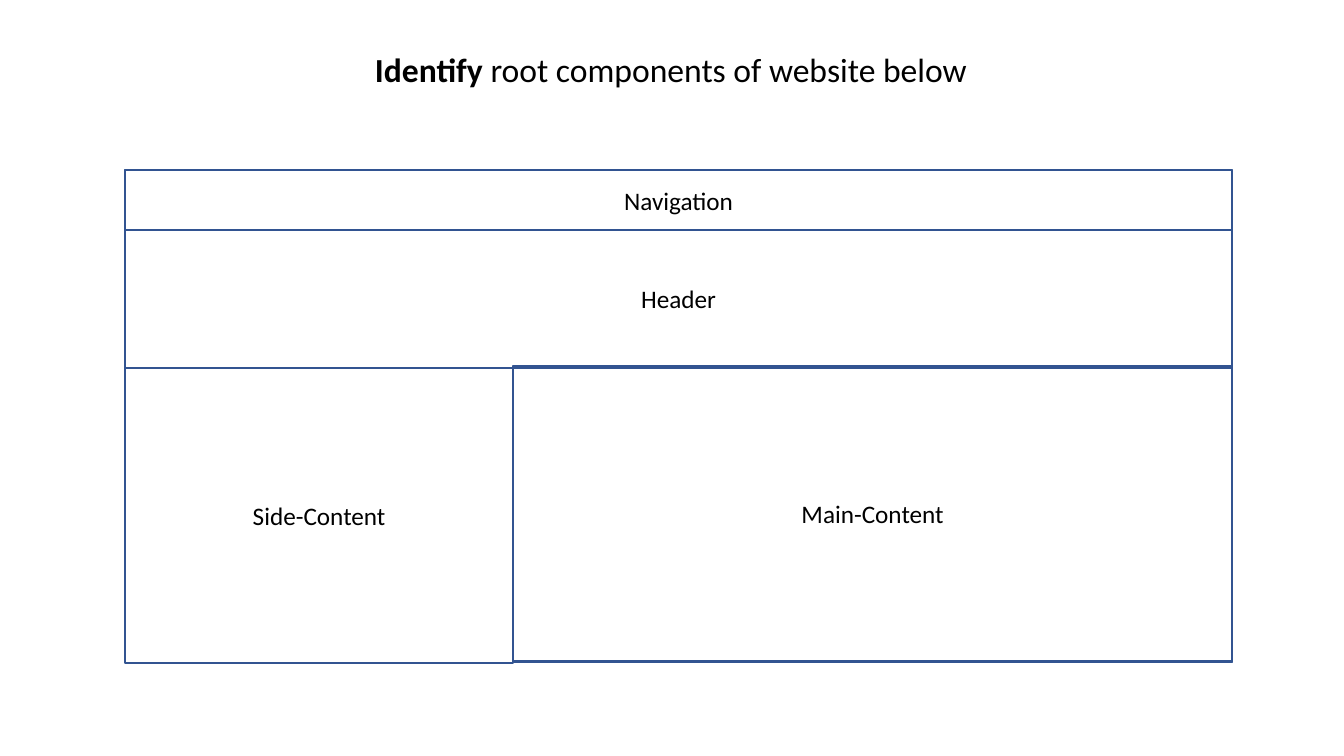
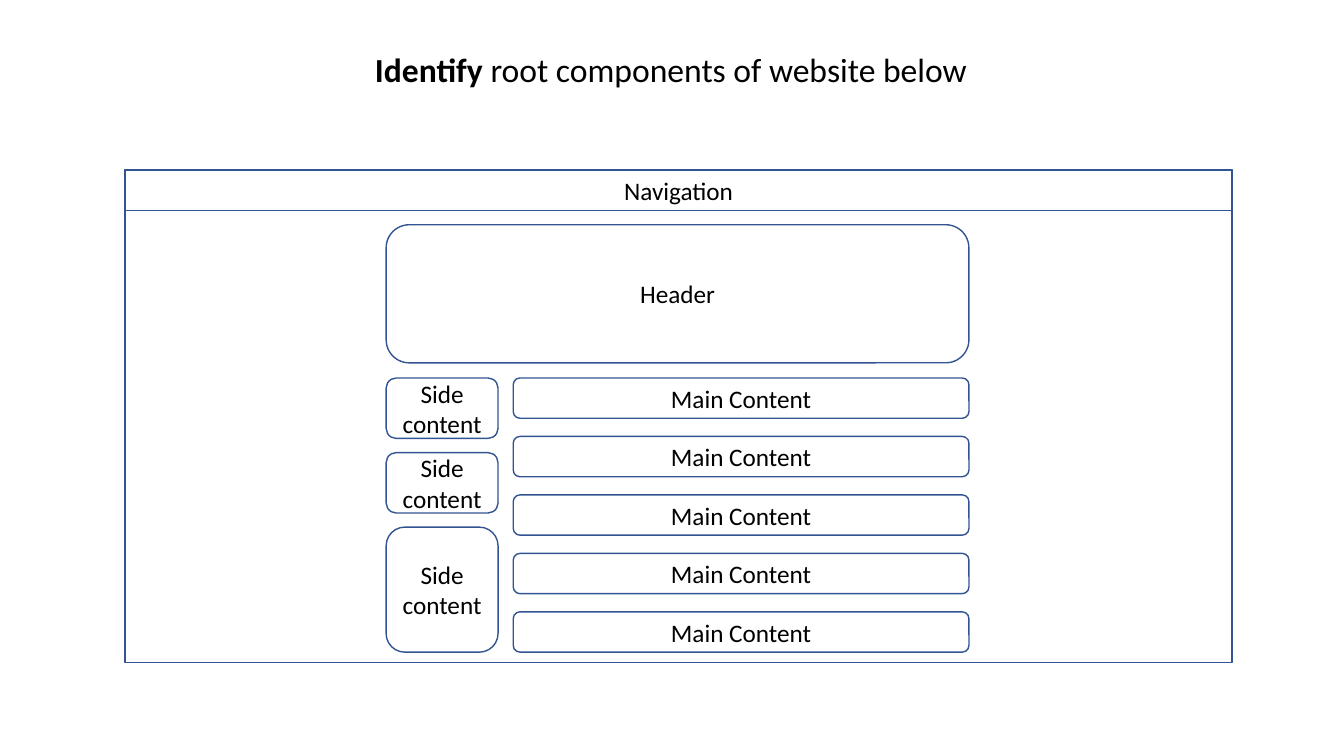
import dataclasses

import pptx
import pptx.dml.color
import pptx.enum.shapes
import pptx.enum.text
import pptx.util

Inches = pptx.util.Inches
Shape = pptx.enum.shapes.MSO_SHAPE
Align = pptx.enum.text.PP_ALIGN


@dataclasses.dataclass(frozen=True)
class Theme:
    """Hold the colours and type sizes of the deck."""

    font: str = "Calibri"
    ink: str = "000000"
    edge: str = "325491"
    head: int = 24
    label: int = 18
    rule: int = 1


@dataclasses.dataclass(frozen=True)
class Box:
    """Hold a place on the slide in inches."""

    left: float
    top: float
    width: float
    height: float

    def inner(self, left, top, width, height):
        """Return a box placed relative to this one."""
        return Box(self.left + left, self.top + top, width, height)

    def sides(self):
        """Return the four lengths for python-pptx."""
        return [Inches(n) for n in (self.left, self.top, self.width, self.height)]


THEME = Theme()
TITLE = Box(3.62, 0.44, 6.09, 0.5)
PAGE = Box(1.24, 1.68, 10.98, 4.89)


def tint(code):
    """Turn a hex code into a colour."""
    return pptx.dml.color.RGBColor.from_string(code)


def style(para, size):
    """Set the shared font on a paragraph."""
    para.font.name = THEME.font
    para.font.size = pptx.util.Pt(size)
    para.font.color.rgb = tint(THEME.ink)


def panel(slide, box, text="", kind=Shape.RECTANGLE):
    """Draw an outlined panel with a centred label."""
    shape = slide.shapes.add_shape(kind, *box.sides())
    shape.shadow.inherit = False
    shape.fill.background()
    shape.line.color.rgb = tint(THEME.edge)
    shape.line.width = pptx.util.Pt(THEME.rule)
    if text:
        frame = shape.text_frame
        frame.word_wrap = True
        frame.vertical_anchor = pptx.enum.text.MSO_ANCHOR.MIDDLE
        para = frame.paragraphs[0]
        para.text = text
        para.alignment = Align.CENTER
        style(para, THEME.label)


def title(slide, box):
    """Write the heading with its first word in bold."""
    frame = slide.shapes.add_textbox(*box.sides()).text_frame
    frame.word_wrap = False
    frame.auto_size = pptx.enum.text.MSO_AUTO_SIZE.SHAPE_TO_FIT_TEXT
    para = frame.paragraphs[0]
    style(para, THEME.head)
    for text, bold in (("Identify", True), (" root components of website below", False)):
        run = para.add_run()
        run.text = text
        run.font.bold = bold


def site(slide, box, height):
    """Draw the site outline and its navigation bar."""
    panel(slide, box.inner(0, 0.01, box.width, height), "Navigation")
    panel(slide, box)


def stack(slide, box, text, sizes, gap):
    """Stack rounded panels down a column with equal gaps."""
    top = 0
    for size in sizes:
        panel(slide, box.inner(0, top, box.width, size), text, Shape.ROUNDED_RECTANGLE)
        top += size + gap


def blocks(slide, box):
    """Fill the site with four adjoining regions."""
    side = 3.85
    site(slide, box, 0.59)
    panel(slide, box.inner(0, 0.6, box.width, 1.37), "Header")
    panel(slide, box.inner(0, 1.97, side, 2.93), "Side-Content")
    panel(slide, box.inner(side, 1.95, box.width - side, 2.93), "Main-Content")


def cards(slide, box):
    """Fill the site with a header and two columns of cards."""
    body = box.inner(2.59, 0.55, 5.78, 4.24)
    panel(slide, body.inner(0, 0, body.width, 1.37), "Header", Shape.ROUNDED_RECTANGLE)
    stack(slide, body.inner(0, 1.52, 1.11, 2.72), "Side content", [0.6, 0.6, 1.24], 0.14)
    stack(slide, body.inner(1.26, 1.52, 4.52, 2.72), "Main Content", [0.4] * 5, 0.18)
    site(slide, box, 0.4)


def main():
    """Build and save the deck."""
    deck = pptx.Presentation()
    deck.slide_width = Inches(13.33)
    deck.slide_height = Inches(7.5)
    for draw in (blocks, cards):
        slide = deck.slides.add_slide(deck.slide_layouts[6])
        title(slide, TITLE)
        draw(slide, PAGE)
    deck.save("out.pptx")


if __name__ == "__main__":
    main()
